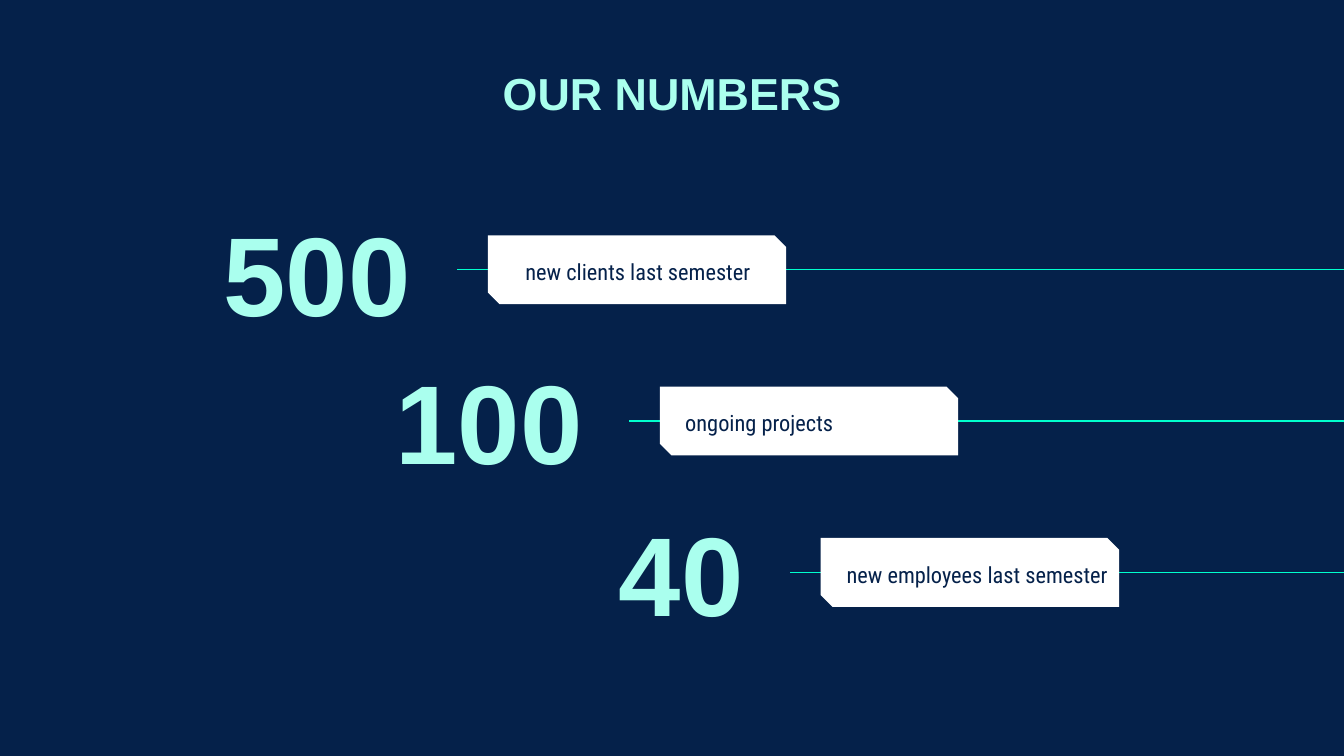
from dataclasses import dataclass

from lxml import etree
from pptx import Presentation
from pptx import util as u
from pptx.dml.color import RGBColor
from pptx.enum import shapes, text
from pptx.oxml.ns import qn


@dataclass(frozen=True)
class Theme:
    navy: RGBColor = RGBColor(0x05, 0x21, 0x4A)
    mint: RGBColor = RGBColor(0xAA, 0xFF, 0xEE)
    line: RGBColor = RGBColor(0x00, 0xFF, 0xCD)
    white: RGBColor = RGBColor(0xFF, 0xFF, 0xFF)
    display_font: str = "Arial"
    body_font: str = "Roboto Condensed"
    title_size: int = 24
    number_size: int = 60
    label_size: int = 12


@dataclass(frozen=True)
class Statistic:
    number: str
    label: str
    line_left: float
    number_top: float
    label_left: float


THEME = Theme()
SLIDE_WIDTH, SLIDE_HEIGHT = 25.4, 14.29
FIRST_LINE_Y, ROW_STEP = 5.1, 2.86
CARD_WIDTH, CARD_HEIGHT, CARD_OFFSET = 5.64, 1.3, 0.58
NUMBER_WIDTH, NUMBER_HEIGHT, NUMBER_GAP = 4.98, 2.11, 0.63
LABEL_WIDTH, LABEL_HEIGHT = 9.07, 0.94
INSET = 0.25

STATISTICS = (
    Statistic("500", "new clients last semester", 8.64, 4.09, 9.68),
    Statistic("100", "ongoing projects", 11.89, 6.88, 12.7),
    Statistic("40", "new employees last semester", 14.93, 9.75, 15.75),
)


def write_text(shape, content: str, *, font: str, size: int, color: RGBColor,
               bold: bool = False, align=text.PP_ALIGN.LEFT,
               anchor=text.MSO_ANCHOR.TOP) -> None:
    frame = shape.text_frame
    frame.word_wrap = True
    frame.auto_size = text.MSO_AUTO_SIZE.NONE
    frame.vertical_anchor = anchor
    frame.margin_left = frame.margin_right = u.Cm(INSET)
    frame.margin_top = frame.margin_bottom = u.Cm(INSET)
    paragraph = frame.paragraphs[0]
    paragraph.alignment = align
    paragraph.space_before = u.Pt(0)
    run = paragraph.add_run()
    run.text = content
    run.font.name = font
    run.font.size = u.Pt(size)
    run.font.bold = bold
    run.font.color.rgb = color


def add_title(slide, content: str) -> None:
    title = slide.shapes.title
    title.left, title.top = u.Cm(5.46), u.Cm(0.99)
    title.width, title.height = u.Cm(14.48), u.Cm(2.62)
    write_text(title, content, font=THEME.display_font, size=THEME.title_size,
               color=THEME.mint, bold=True, align=text.PP_ALIGN.CENTER)


def add_line(slide, left: float, y: float) -> None:
    connector = slide.shapes.add_connector(
        shapes.MSO_CONNECTOR.STRAIGHT,
        u.Cm(SLIDE_WIDTH), u.Cm(y), u.Cm(left), u.Cm(y))
    connector.line.color.rgb = THEME.line
    connector.line.width = u.Pt(0.75)
    etree.SubElement(connector._element.spPr, qn("a:effectLst"))


def add_card(slide, left: float, top: float) -> None:
    card = slide.shapes.add_shape(
        shapes.MSO_SHAPE.SNIP_2_DIAG_RECTANGLE,
        u.Cm(left), u.Cm(top), u.Cm(CARD_WIDTH), u.Cm(CARD_HEIGHT))
    card.adjustments[0] = 0
    card.adjustments[1] = 0.17
    card.shadow.inherit = False
    card.fill.solid()
    card.fill.fore_color.rgb = THEME.white
    card.line.fill.background()


def add_statistic(slide, statistic: Statistic, y: float) -> None:
    add_line(slide, statistic.line_left, y)
    add_card(slide, statistic.line_left + CARD_OFFSET, y - CARD_HEIGHT / 2)
    number = slide.shapes.add_textbox(
        u.Cm(statistic.line_left - NUMBER_GAP - NUMBER_WIDTH),
        u.Cm(statistic.number_top), u.Cm(NUMBER_WIDTH), u.Cm(NUMBER_HEIGHT))
    write_text(number, statistic.number, font=THEME.display_font,
               size=THEME.number_size, color=THEME.mint, bold=True,
               align=text.PP_ALIGN.RIGHT, anchor=text.MSO_ANCHOR.MIDDLE)
    label = slide.shapes.add_textbox(
        u.Cm(statistic.label_left), u.Cm(y - LABEL_HEIGHT / 2),
        u.Cm(LABEL_WIDTH), u.Cm(LABEL_HEIGHT))
    write_text(label, statistic.label, font=THEME.body_font,
               size=THEME.label_size, color=THEME.navy)


def main() -> None:
    presentation = Presentation()
    presentation.slide_width = u.Cm(SLIDE_WIDTH)
    presentation.slide_height = u.Cm(SLIDE_HEIGHT)
    slide = presentation.slides.add_slide(presentation.slide_layouts[5])
    slide.background.fill.solid()
    slide.background.fill.fore_color.rgb = THEME.navy
    add_title(slide, "OUR NUMBERS")
    for row, statistic in enumerate(STATISTICS):
        add_statistic(slide, statistic, FIRST_LINE_Y + row * ROW_STEP)
    presentation.save("out.pptx")


if __name__ == "__main__":
    main()
